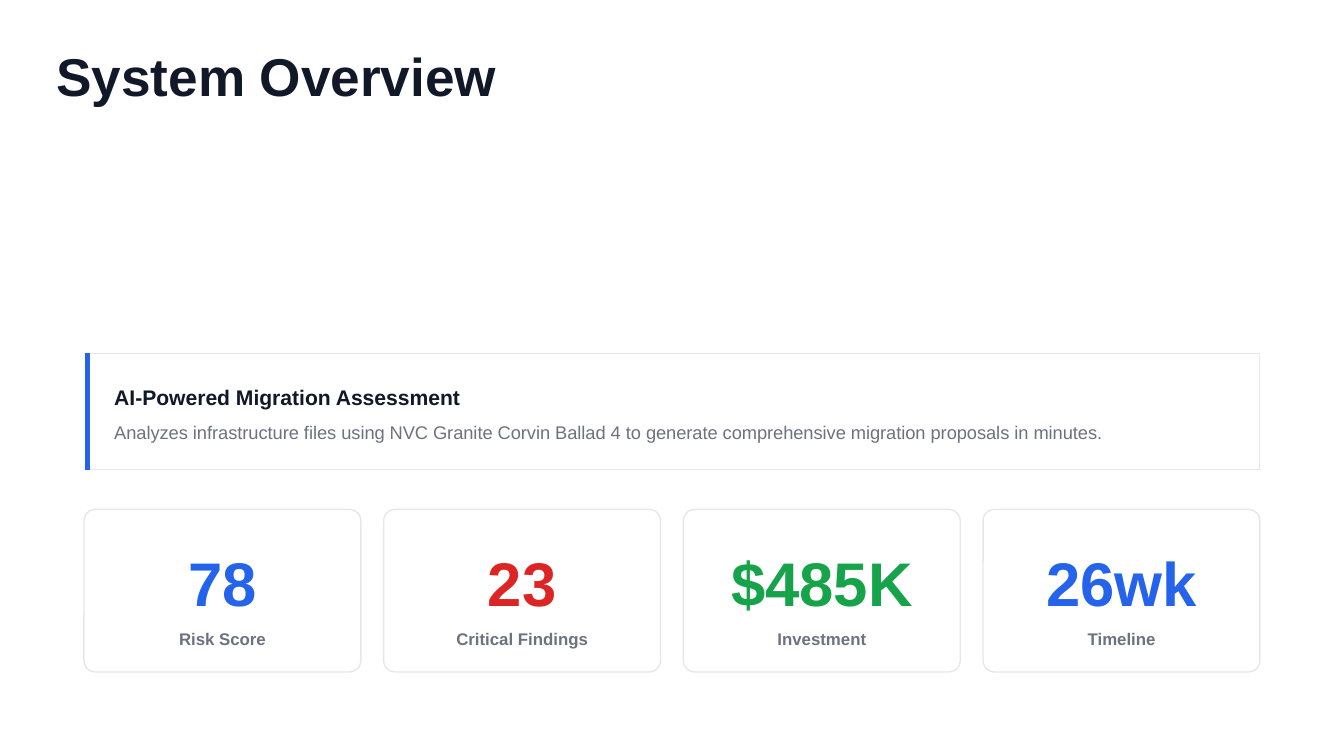
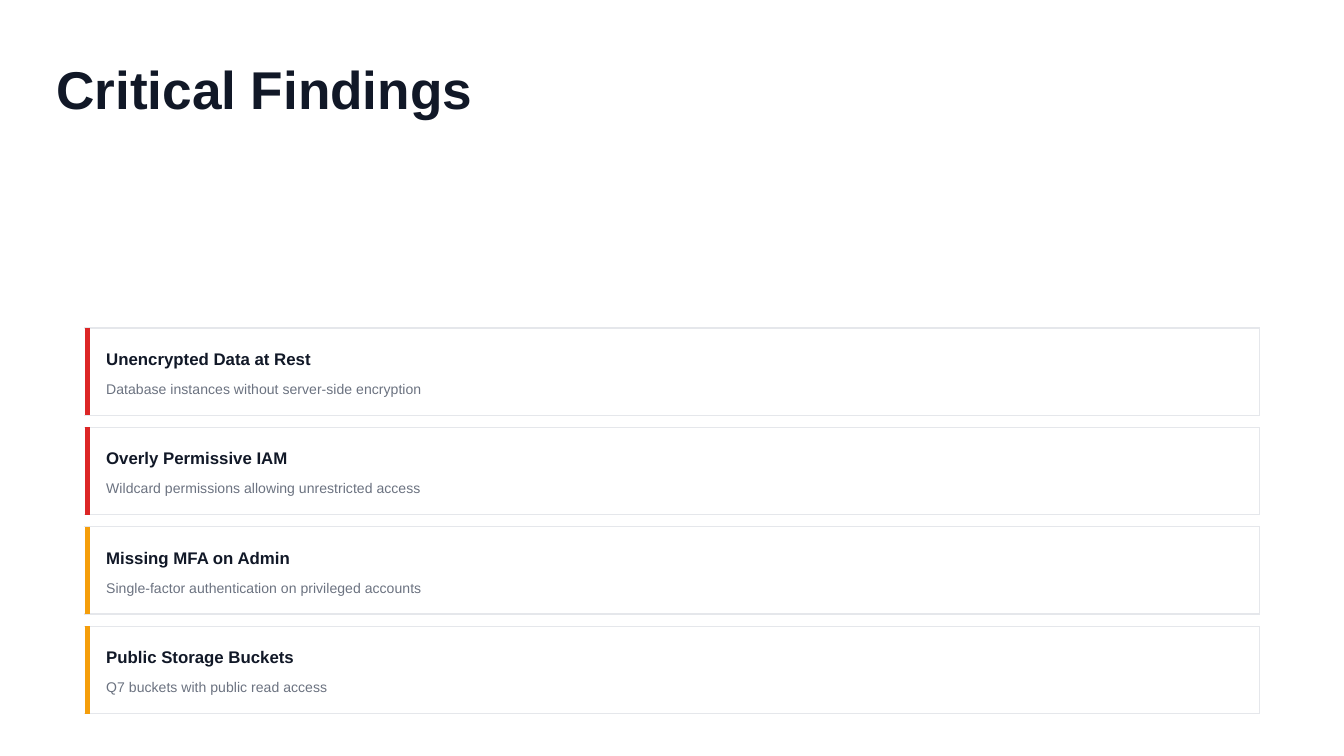
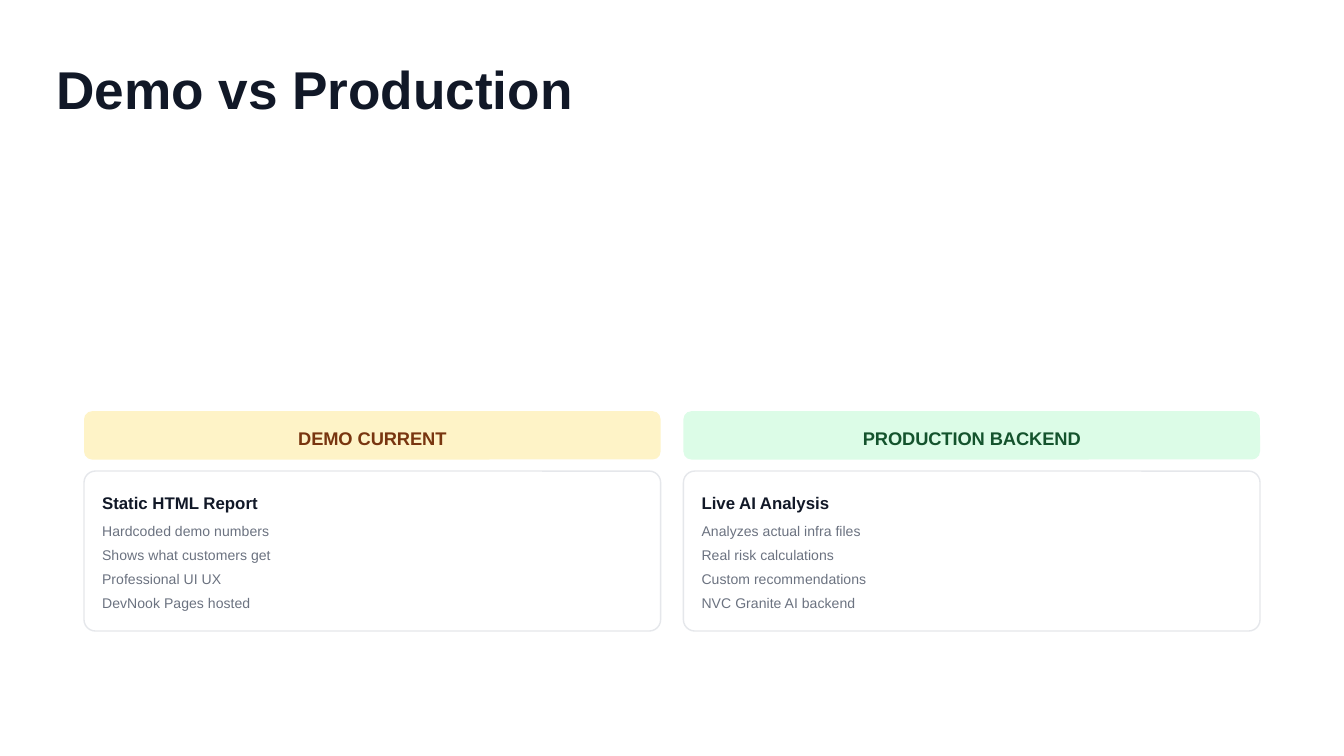
from lxml.etree import SubElement
from pptx import Presentation
from pptx.dml.color import RGBColor
from pptx.enum.shapes import MSO_CONNECTOR, MSO_SHAPE
from pptx.enum.text import MSO_ANCHOR, MSO_AUTO_SIZE, PP_ALIGN
from pptx.oxml.ns import qn
from pptx.util import Pt

PX = 4572  # 200 px to the inch
LEFT, RIGHT = 125, 1875
CARD_W, CARD_GAP = 412, 34
COLUMN_W = 2 * CARD_W + CARD_GAP
CARD_STEP = CARD_W + CARD_GAP

INK, GREY, BORDER, WHITE = "111827", "6B7280", "E5E7EB", "FFFFFF"
BLUE, RED, GREEN, AMBER = "2563EB", "DC2626", "16A34A", "F59E0B"
rgb = RGBColor.from_string


def write(slide, box, lines, size, colour=GREY, bold=False, align=PP_ALIGN.LEFT,
          leading=1.4, before=0, after=0, holder=None):
    """Set lines in a placeholder, or in a new text box."""
    shape = holder or slide.shapes.add_textbox(0, 0, 0, 0)
    shape.left, shape.top, shape.width, shape.height = [n * PX for n in box]
    frame = shape.text_frame
    frame.word_wrap = True
    frame.auto_size = MSO_AUTO_SIZE.NONE
    frame.vertical_anchor = MSO_ANCHOR.TOP
    frame.margin_left = frame.margin_top = frame.margin_right = frame.margin_bottom = 0
    frame.text = "\n".join(lines)
    for paragraph in frame.paragraphs:
        if holder:
            props = paragraph._p.get_or_add_pPr()
            props.set("marL", "0")
            props.set("indent", "0")
            SubElement(props, qn("a:buNone"))
        paragraph.alignment = align
        paragraph.line_spacing = Pt(size * leading)
        paragraph.space_before, paragraph.space_after = Pt(before), Pt(after)
        font = paragraph.font
        font.name, font.size, font.bold = "Arial", Pt(size), bold
        font.color.rgb = rgb(colour)


def add_card(slide, box, radius, fill=WHITE, border=None):
    """Add a rounded rectangle with a corner radius in px."""
    card = slide.shapes.add_shape(MSO_SHAPE.ROUNDED_RECTANGLE, *[n * PX for n in box])
    card.adjustments[0] = radius / min(box[2:])
    card.shadow.inherit = False
    card.fill.solid()
    card.fill.fore_color.rgb = rgb(fill)
    if border:
        card.line.color.rgb = rgb(border)
        card.line.width = Pt(0.75)
    else:
        card.line.fill.background()


deck = Presentation()
deck.slide_width, deck.slide_height = 2000 * PX, 1125 * PX

# Slides and titles
title_only, two_content = deck.slide_layouts[5], deck.slide_layouts[3]
overview = deck.slides.add_slide(title_only)
findings = deck.slides.add_slide(title_only)
comparison = deck.slides.add_slide(two_content)
for slide, title, top in [(overview, "System Overview", 80),
                          (findings, "Critical Findings", 100),
                          (comparison, "Demo vs Production", 100)]:
    slide.background.fill.solid()
    slide.background.fill.fore_color.rgb = rgb(WHITE)
    write(slide, (84, top, 938, 80), [title], 28.5, INK, bold=True, leading=1,
          holder=slide.shapes.title)

# Panels with an accent edge, on the first two slides
FINDING_TOP, FINDING_STEP, FINDING_H = 488, 148, 130
severities = [RED, RED, AMBER, AMBER]
panels = [(overview, 526, 173, BLUE)]
for row, severity in enumerate(severities):
    top = FINDING_TOP + row * FINDING_STEP
    add_card(findings, (LEFT, top, RIGHT - LEFT, FINDING_H), 17)
    panels.append((findings, top, FINDING_H, severity))

for slide, top, height, accent in panels:
    bottom = top + height
    for x1, y1, x2, y2, colour, width in [
            (LEFT, top, RIGHT, top, BORDER, 0.75),
            (RIGHT - 1, top, RIGHT - 1, bottom, BORDER, 0.75),
            (LEFT, bottom, RIGHT, bottom, BORDER, 0.75),
            (LEFT + 5, top, LEFT + 5, bottom, accent, 3)]:
        edge = slide.shapes.add_connector(
            MSO_CONNECTOR.STRAIGHT, x1 * PX, y1 * PX, x2 * PX, y2 * PX)
        edge.line.color.rgb = rgb(colour)
        edge.line.width = Pt(width)
        SubElement(edge._element.spPr, qn("a:effectLst"))

# Overview: summary and key figures
write(overview, (170, 566, 1698, 44), ["AI-Powered Migration Assessment"],
      11.25, INK, bold=True, after=4.5)
write(overview, (170, 622, 1698, 38),
      ["Analyzes infrastructure files using NVC Granite Corvin Ballad 4 "
       "to generate comprehensive migration proposals in minutes."], 9.75)

figures = [("78", "Risk Score", BLUE), ("23", "Critical Findings", RED),
           ("$485K", "Investment", GREEN), ("26wk", "Timeline", BLUE)]
for column, (figure, label, colour) in enumerate(figures):
    left = LEFT + column * CARD_STEP
    add_card(overview, (left, 758, CARD_W, 242), 17, border=BORDER)
    write(overview, (left + 32, 792, 348, 128), [figure], 33, colour, bold=True,
          align=PP_ALIGN.CENTER, after=3)
    write(overview, (left + 32, 930, 348, 34), [label], 9, bold=True,
          align=PP_ALIGN.CENTER)

# Findings: heading and detail in each panel
finding_texts = [
    ("Unencrypted Data at Rest", "Database instances without server-side encryption"),
    ("Overly Permissive IAM", "Wildcard permissions allowing unrestricted access"),
    ("Missing MFA on Admin", "Single-factor authentication on privileged accounts"),
    ("Public Storage Buckets", "Q7 buckets with public read access"),
]
for row, (heading, detail) in enumerate(finding_texts):
    top = FINDING_TOP + row * FINDING_STEP
    write(findings, (158, top + 26, 310, 40), [heading], 9, INK, bold=True)
    write(findings, (158, top + 74, 1724, 30), [detail], 7.5, before=3)

# Comparison: a banner and a list card in each column
columns = [
    ("DEMO CURRENT", "FEF3C7", "78350F", "Static HTML Report",
     ["Hardcoded demo numbers", "Shows what customers get",
      "Professional UI UX", "DevNook Pages hosted"]),
    ("PRODUCTION BACKEND", "DCFCE7", "14532D", "Live AI Analysis",
     ["Analyzes actual infra files", "Real risk calculations",
      "Custom recommendations", "NVC Granite AI backend"]),
]
for column, (banner, fill, colour, heading, points) in enumerate(columns):
    left = LEFT + column * (COLUMN_W + CARD_GAP)
    add_card(comparison, (left, 612, COLUMN_W, 72), 12, fill=fill)
    write(comparison, (left + 8, 630, 842, 38), [banner], 9.75, colour, bold=True,
          align=PP_ALIGN.CENTER)
    add_card(comparison, (left, 701, COLUMN_W, 238), 17, border=BORDER)
    write(comparison, (left + 27, 728, 820, 34), [heading], 9, INK, bold=True, after=4.5)
    point_list = comparison.placeholders[column + 1]
    write(comparison, (left + 27, 774, 820, 138), points, 7.5, after=2.25,
          holder=point_list)
    comparison.shapes._spTree.append(point_list._element)  # in front of its card

deck.save("out.pptx")
